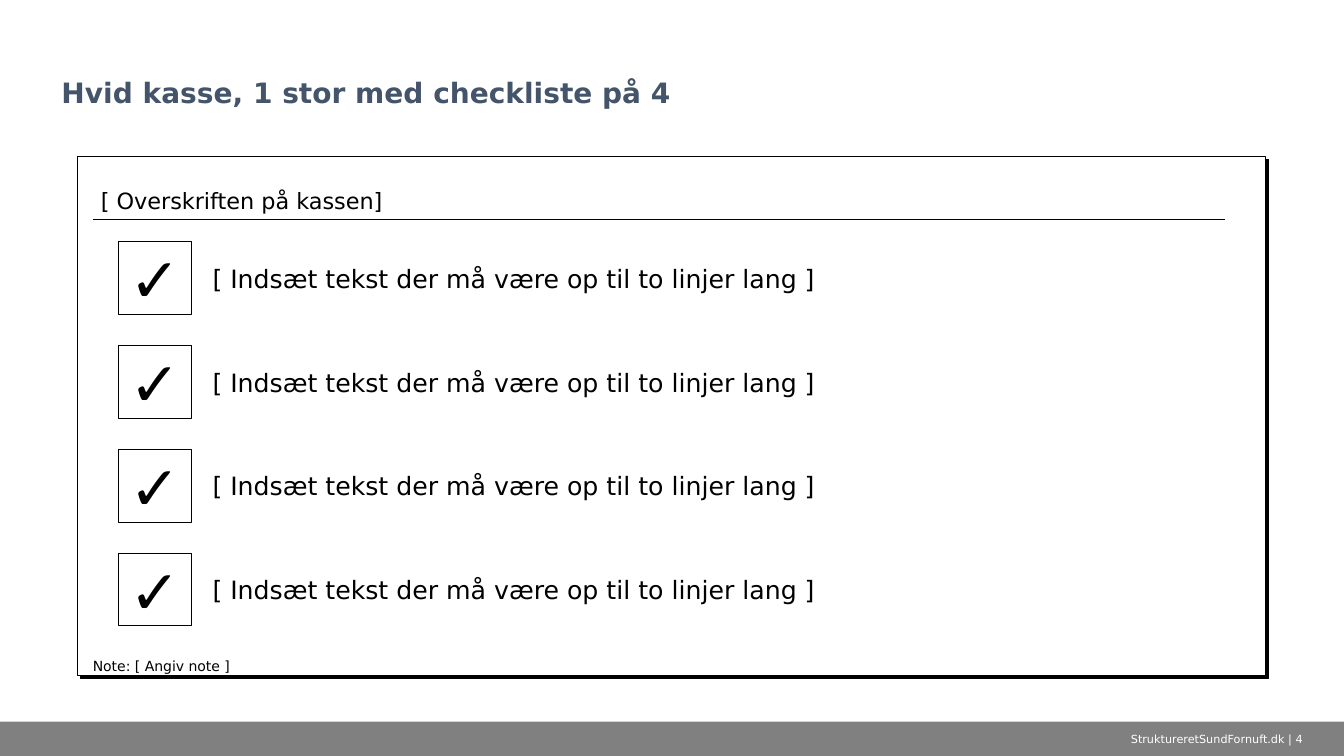
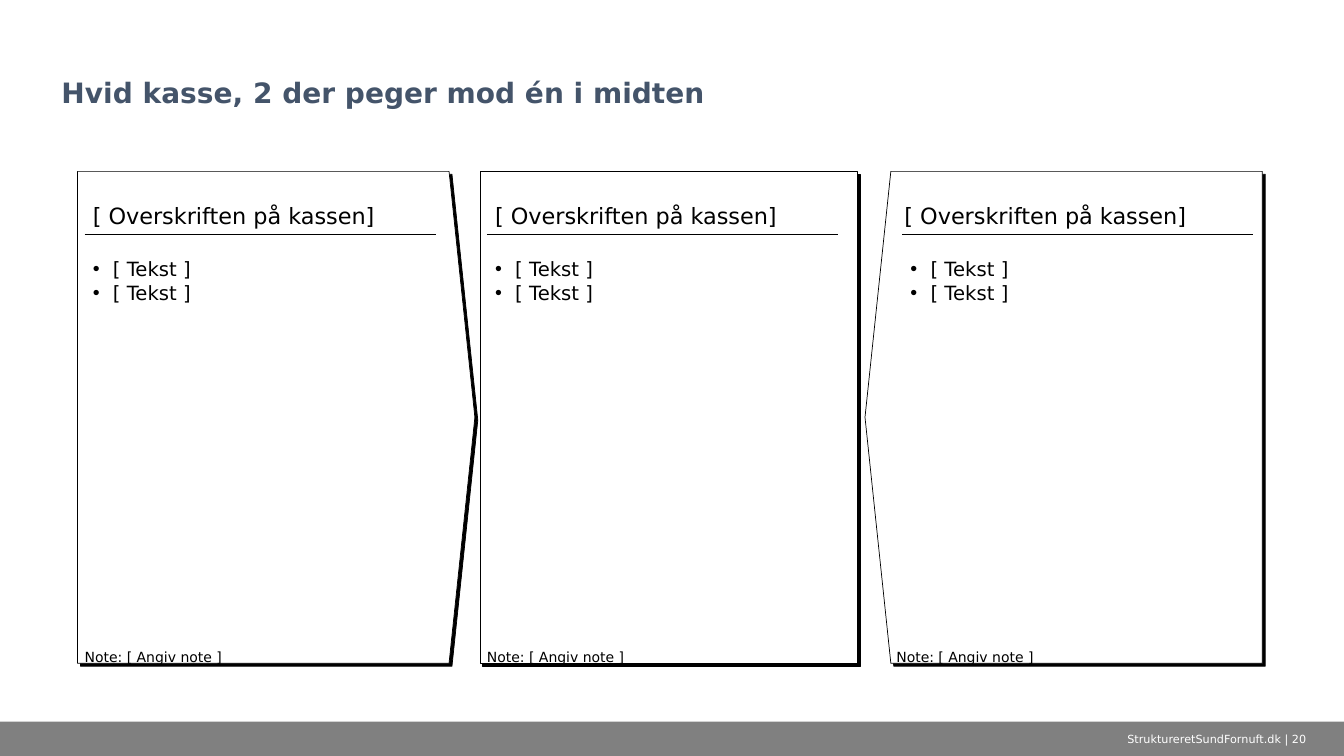
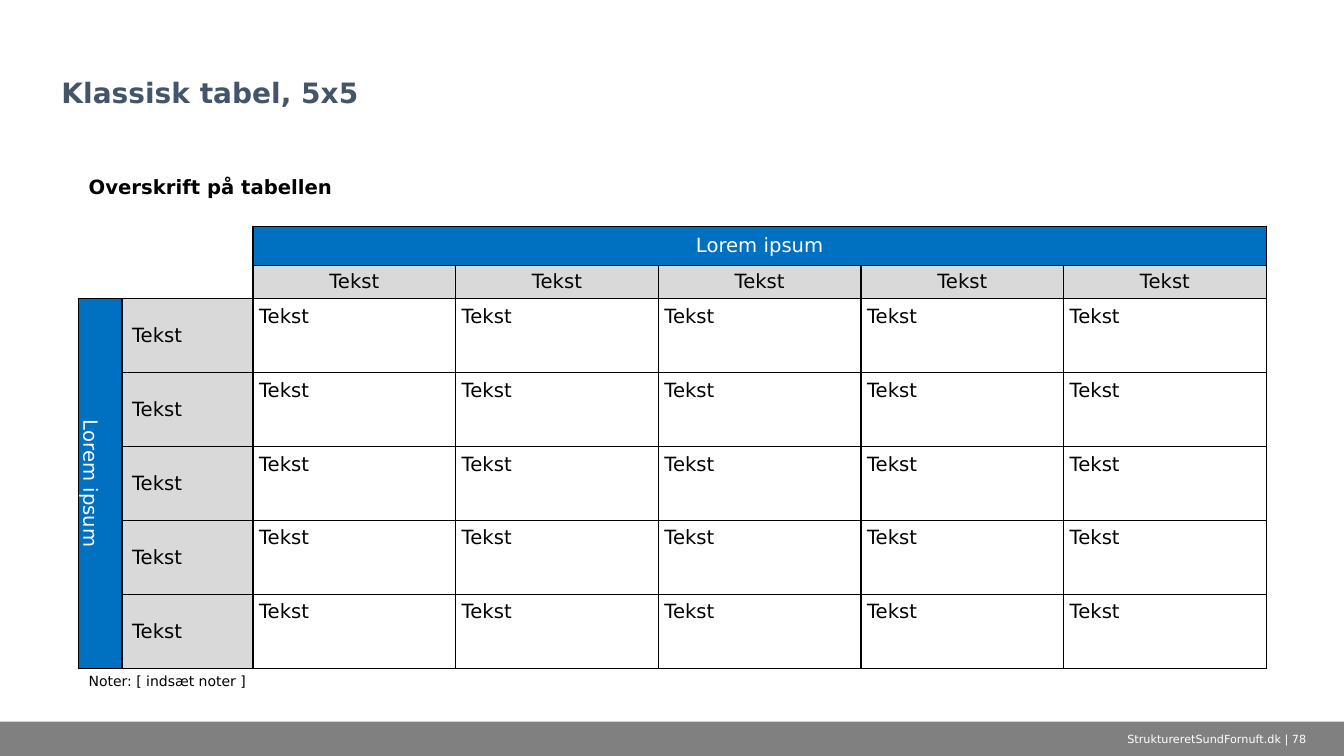
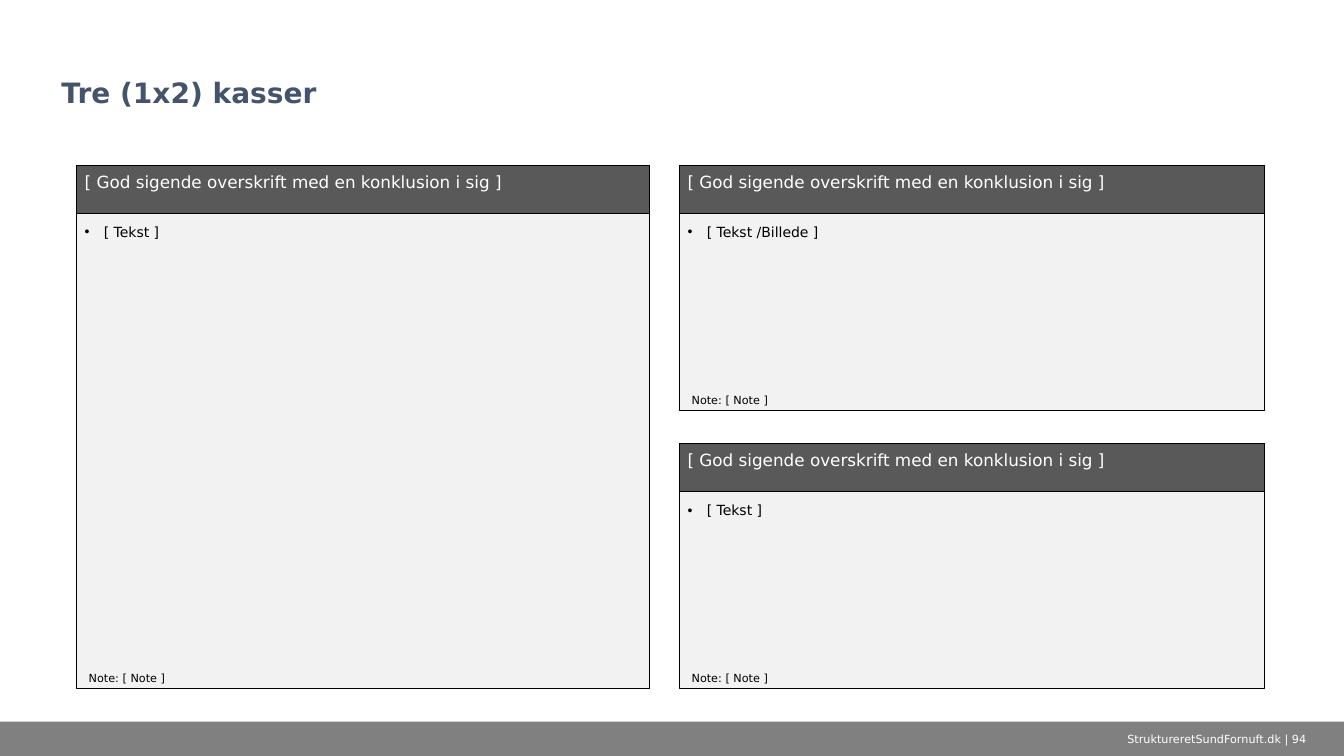
from lxml import etree
from pptx import Presentation
from pptx.dml.color import RGBColor
from pptx.enum.shapes import MSO_CONNECTOR, MSO_SHAPE
from pptx.enum.text import MSO_ANCHOR, MSO_AUTO_SIZE, PP_ALIGN
from pptx.oxml import parse_xml
from pptx.oxml.ns import qn
from pptx.util import Inches, Pt

LEFT, CENTER = PP_ALIGN.LEFT, PP_ALIGN.CENTER
TOP, MIDDLE, BOTTOM = MSO_ANCHOR.TOP, MSO_ANCHOR.MIDDLE, MSO_ANCHOR.BOTTOM
RECT, PENTAGON = MSO_SHAPE.RECTANGLE, MSO_SHAPE.PENTAGON
STRAIGHT = MSO_CONNECTOR.STRAIGHT
NO_AUTOFIT = MSO_AUTO_SIZE.NONE

FONT, CHECK_FONT = "DejaVu Sans", "Arial"
BLACK, WHITE = "000000", "FFFFFF"
SLATE, BAND_GREY = "44546A", "808080"
BLUE, LABEL_GREY = "0070C0", "D9D9D9"
PANEL_HEAD, PANEL_BODY = "595959", "F2F2F2"
DEFAULT_INSET = (0.1, 0.05)
BOX_INSET = (0.08, 0.06)
NO_INSET = (0, 0)
NO_STYLE_TABLE = "{2D5ABB26-0587-4C30-8999-92F81FD0307C}"
TITLE_ONLY, COMPARISON = 5, 4
DRAWING = "http://schemas.openxmlformats.org/drawingml/2006/main"
BOX_HEADING = "[ Overskriften på kassen]"
BOX_NOTE = "Note: [ Angiv note ]"


def rgb(value):
    return RGBColor.from_string(value)


def inches(*lengths):
    return [Inches(length) for length in lengths]


def seat(holder, anchor=TOP, inset=DEFAULT_INSET):
    """Anchor and margins of a text frame or a table cell."""
    holder.vertical_anchor = anchor
    across, down = inches(*inset)
    holder.margin_left = holder.margin_right = across
    holder.margin_top = holder.margin_bottom = down


def write(frame, *lines, size=14, color=BLACK, bold=False, font=FONT,
          align=LEFT, spacing=1.0, bullet_indent=None):
    for number, line in enumerate(lines):
        paragraph = frame.add_paragraph() if number else frame.paragraphs[0]
        paragraph.alignment = align
        paragraph.line_spacing = spacing
        paragraph.space_before = Pt(0)
        if bullet_indent:
            props = paragraph._p.get_or_add_pPr()
            props.set("marL", str(Inches(bullet_indent)))
            props.set("indent", str(-Inches(bullet_indent)))
            etree.SubElement(props, qn("a:buFont")).set("typeface", "Arial")
            etree.SubElement(props, qn("a:buChar")).set("char", "•")
        run = paragraph.add_run()
        run.text = line
        run.font.name = font
        run.font.size = Pt(size)
        run.font.bold = bold
        run.font.color.rgb = rgb(color)


def border(cell):
    props = cell._tc.get_or_add_tcPr()
    for side in ("lnL", "lnR", "lnT", "lnB"):
        props.append(parse_xml(
            f'<a:{side} xmlns:a="{DRAWING}" w="{Pt(1)}"><a:solidFill>'
            f'<a:srgbClr val="{BLACK}"/></a:solidFill></a:{side}>'))


class Deck:
    def __init__(self):
        self.prs = Presentation()
        self.prs.slide_width, self.prs.slide_height = inches(13.33, 7.5)
        self.slide = None
        self.bodies = []

    def new_slide(self, title, page, lists=0):
        layout = self.prs.slide_layouts[COMPARISON if lists else TITLE_ONLY]
        self.slide = self.prs.slides.add_slide(layout)
        heading = self.slide.shapes.title
        bodies = [p for p in self.slide.placeholders
                  if p.placeholder_format.idx != 0]
        self.bodies = bodies[:lists]
        for spare in bodies[lists:]:
            spare._element.getparent().remove(spare._element)
        self.fill_placeholder(heading, 0.51, 0.17, 12.31, 0.97, title,
                              anchor=BOTTOM, size=20, color=SLATE, bold=True,
                              spacing=0.9)
        self.shape(0, 7.16, 13.33, 0.35, BAND_GREY, line=None)
        self.text(10.81, 7.16, 2.52, 0.34,
                  f"StruktureretSundFornuft.dk | {page}",
                  anchor=MIDDLE, size=8, color=WHITE, align=CENTER)

    # Basic elements
    def fill_placeholder(self, holder, left, top, width, height, *lines,
                         anchor=TOP, inset=DEFAULT_INSET, **style):
        holder.left, holder.top, holder.width, holder.height = inches(
            left, top, width, height)
        holder.text_frame.auto_size = NO_AUTOFIT
        seat(holder.text_frame, anchor, inset)
        write(holder.text_frame, *lines, **style)

    def shape(self, left, top, width, height, fill=WHITE, line=0.5,
              kind=RECT):
        shape = self.slide.shapes.add_shape(
            kind, *inches(left, top, width, height))
        shape.shadow.inherit = False
        shape.fill.solid()
        shape.fill.fore_color.rgb = rgb(fill)
        if line is None:
            shape.line.fill.background()
        else:
            shape.line.color.rgb = rgb(BLACK)
            shape.line.width = Pt(line)
        return shape

    def text(self, left, top, width, height, *lines, anchor=TOP,
             inset=DEFAULT_INSET, **style):
        frame = self.slide.shapes.add_textbox(
            *inches(left, top, width, height)).text_frame
        frame.word_wrap = True
        seat(frame, anchor, inset)
        write(frame, *lines, **style)

    def rule(self, left, top, width):
        line = self.slide.shapes.add_connector(
            STRAIGHT, *inches(left, top, left + width, top))
        line.line.color.rgb = rgb(BLACK)
        line.line.width = Pt(0.5)
        etree.SubElement(line._element.spPr, qn("a:effectLst"))

    def bullets(self, left, top, width, height, *lines, size, indent):
        body = self.bodies.pop(0)
        self.slide.shapes._spTree.append(body._element)  # bring to front
        self.fill_placeholder(body, left, top, width, height, *lines,
                              inset=BOX_INSET, size=size,
                              bullet_indent=indent)

    # Composed elements
    def white_box(self, left, top, width, height, kind=RECT, flip=False):
        box = self.shape(left, top, width, height, kind=kind)
        if kind == PENTAGON:
            box.adjustments[0] = 0.065
        if flip:
            box._element.spPr.find(qn("a:xfrm")).set("flipH", "1")
        effects = box._element.spPr.find(qn("a:effectLst"))
        effects.append(parse_xml(
            f'<a:outerShdw xmlns:a="{DRAWING}" blurRad="0" dist="{Pt(3)}" '
            f'dir="2700000" algn="tl" rotWithShape="0">'
            f'<a:srgbClr val="{BLACK}"/></a:outerShdw>'))

    def box_heading(self, left, top, width, rule_left):
        self.rule(rule_left, top + 0.63, width)
        self.text(left, top, width, 0.63, BOX_HEADING, anchor=BOTTOM,
                  inset=BOX_INSET, size=16)

    def note(self, left, top, width, text, size=10):
        self.text(left, top, width, 0.17, text, inset=NO_INSET, size=size)

    def check_item(self, left, top, text):
        side = 0.72
        frame = self.shape(left, top, side, side, line=0.75).text_frame
        frame.word_wrap = False
        seat(frame, MIDDLE)
        write(frame, "✓", size=44, bold=True, font=CHECK_FONT, align=CENTER)
        self.text(left + 0.83, top, 10.14, side, text, anchor=MIDDLE, size=18)

    def panel(self, left, top, width, height, item):
        head_height = 0.48
        self.shape(left, top, width, height, PANEL_BODY)
        head = self.shape(left, top, width, head_height, PANEL_HEAD)
        seat(head.text_frame, inset=BOX_INSET)
        write(head.text_frame,
              "[ God sigende overskrift med en konklusion i sig ]",
              size=12, color=WHITE)
        self.bullets(left, top + head_height + 0.04, width,
                     height - head_height - 0.24, item, size=10, indent=0.19)
        self.note(left + 0.12, top + height - 0.17, 4.4, "Note: [ Note ]",
                  size=8)

    def table(self, left, top, columns, rows):
        table = self.slide.shapes.add_table(
            len(rows), len(columns),
            *inches(left, top, sum(columns), sum(rows))).table
        table.first_row = table.horz_banding = False
        table._tbl.tblPr.find(qn("a:tableStyleId")).text = NO_STYLE_TABLE
        for column, width in zip(table.columns, columns):
            column.width = Inches(width)
        for row, height in zip(table.rows, rows):
            row.height = Inches(height)
        return table

    def cell(self, cell, text="", fill=None, bordered=True, anchor=TOP,
             inset=DEFAULT_INSET, **style):
        if bordered:
            border(cell)
        if fill:
            cell.fill.solid()
            cell.fill.fore_color.rgb = rgb(fill)
        else:
            cell.fill.background()
        seat(cell, anchor, inset)
        if text:
            write(cell.text_frame, text, **style)
        else:
            end = cell.text_frame.paragraphs[0]._p.get_or_add_endParaRPr()
            end.set("sz", "1000")


def checklist_slide(deck):
    deck.new_slide("Hvid kasse, 1 stor med checkliste på 4", 4)
    deck.white_box(0.77, 1.55, 11.78, 5.15)
    deck.box_heading(0.92, 1.55, 11.23, rule_left=0.92)
    deck.note(0.92, 6.52, 11.01, BOX_NOTE)
    for number in range(4):
        deck.check_item(1.18, 2.4 + number * 1.03,
                        "[ Indsæt tekst der må være op til to linjer lang ]")


def pointing_boxes_slide(deck):
    deck.new_slide("Hvid kasse, 2 der peger mod én i midten", 20, lists=3)
    top, text_width = 1.7, 3.48
    # box left, box width, outline, mirrored, heading left, list left
    boxes = [(0.77, 3.94, PENTAGON, False, 0.84, 0.84),
             (4.76, 3.74, RECT, False, 4.83, 4.83),
             (8.58, 3.94, PENTAGON, True, 8.89, 8.95)]
    for left, width, kind, flip, heading_left, list_left in boxes:
        deck.white_box(left, top, width, 4.88, kind, flip)
        deck.box_heading(heading_left, top, text_width, rule_left=list_left)
        deck.bullets(list_left, top + 0.79, text_width, 3.93,
                     "[ Tekst ]", "[ Tekst ]", size=14, indent=0.2)
        deck.note(heading_left, 6.43, 3.52, BOX_NOTE)


def table_slide(deck):
    deck.new_slide("Klassisk tabel, 5x5", 78)
    columns = [0.43, 1.3] + [2.01] * 5
    rows = [0.55, 0.38, 0.33] + [3.67 / 5] * 5 + [0.32]
    table = deck.table(0.78, 1.7, columns, rows)
    last_row, last_column = len(rows) - 1, len(columns) - 1
    for first, last in [((0, 0), (0, last_column)),
                        ((1, 2), (1, last_column)),
                        ((3, 0), (last_row - 1, 0)),
                        ((last_row, 0), (last_row, last_column))]:
        table.cell(*first).merge(table.cell(*last))

    group = dict(fill=BLUE, color=WHITE, align=CENTER, anchor=MIDDLE)
    special = {
        (0, 0): dict(text="Overskrift på tabellen", bold=True),
        (1, 2): dict(text="Lorem ipsum", **group),
        (3, 0): dict(text="Lorem ipsum", inset=NO_INSET, **group),
        (last_row, 0): dict(text="Noter: [ indsæt noter ]", size=10),
    }
    for row in range(len(rows)):
        for column in range(len(columns)):
            cell = table.cell(row, column)
            in_grid = 1 <= row < last_row and (row >= 3 or column >= 2)
            if (row, column) in special:
                look = special[row, column]
            elif cell.is_spanned or not in_grid:
                look = {}
            elif row == 2:
                look = dict(text="Tekst", fill=LABEL_GREY, align=CENTER)
            elif column == 1:
                look = dict(text="Tekst", fill=LABEL_GREY, anchor=MIDDLE)
            else:
                look = dict(text="Tekst", inset=(0.06, 0.06))
            deck.cell(cell, bordered=in_grid, **look)
    table.cell(3, 0)._tc.get_or_add_tcPr().set("vert", "vert")


def panels_slide(deck):
    deck.new_slide("Tre (1x2) kasser", 94, lists=3)
    top, height, gap = 1.64, 2.43, 0.33
    deck.panel(0.76, top, 5.68, 2 * height + gap, "[ Tekst ]")
    for number, item in enumerate(["[ Tekst /Billede ]", "[ Tekst ]"]):
        deck.panel(6.74, top + number * (height + gap), 5.8, height, item)


def main():
    deck = Deck()
    checklist_slide(deck)
    pointing_boxes_slide(deck)
    table_slide(deck)
    panels_slide(deck)
    deck.prs.save("out.pptx")


if __name__ == "__main__":
    main()
